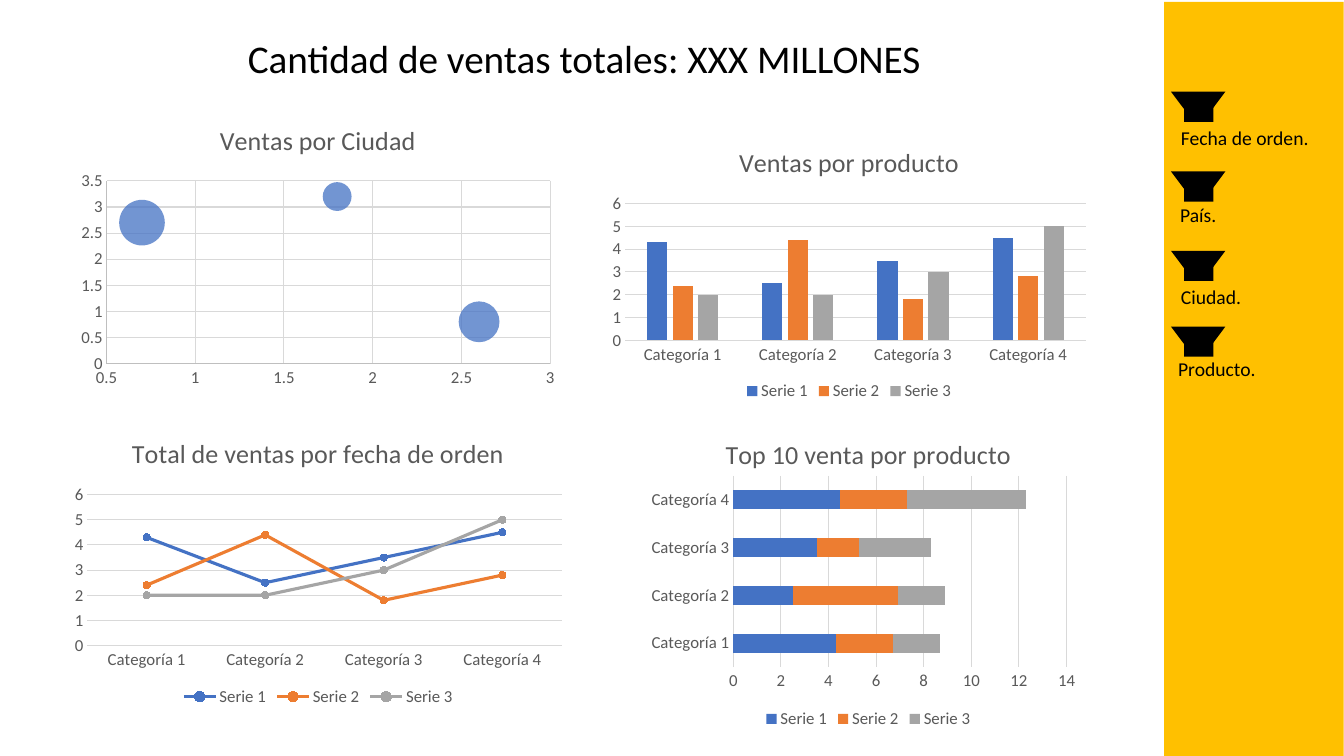
from lxml.etree import SubElement
from pptx import Presentation
from pptx.chart.data import BubbleChartData, CategoryChartData
from pptx.dml.color import RGBColor
from pptx.enum.chart import XL_CHART_TYPE as ChartType, XL_LEGEND_POSITION as LegendPosition
from pptx.enum.chart import XL_MARKER_STYLE as MarkerStyle, XL_TICK_MARK as TickMark
from pptx.enum.shapes import MSO_SHAPE as Shape
from pptx.enum.text import MSO_ANCHOR as Anchor, MSO_AUTO_SIZE as AutoSize, PP_ALIGN as Align
from pptx.oxml.ns import qn
from pptx.util import Cm, Pt

FONT = "Calibri"
BLACK = RGBColor(0x00, 0x00, 0x00)
AMBER = RGBColor(0xFF, 0xC0, 0x00)
TEXT_GRAY = RGBColor(0x59, 0x59, 0x59)
AXIS_GRAY = RGBColor(0xBF, 0xBF, 0xBF)
GRID_GRAY = RGBColor(0xD9, 0xD9, 0xD9)
BLUE = RGBColor(0x44, 0x72, 0xC4)
ORANGE = RGBColor(0xED, 0x7D, 0x31)
GRAY = RGBColor(0xA5, 0xA5, 0xA5)

HEADING = "Cantidad de ventas totales: XXX MILLONES"
HEADING_BOX = (5.99, 0.74, 19.74, 1.45)
PANEL_BOX = (29.34, 0.05, 4.52, 19.05)

# Filter name, funnel top, label left, label top
FILTERS = [
    ("Fecha de orden.", 2.31, 29.51, 3.05),
    ("País.", 4.32, 29.49, 4.98),
    ("Ciudad.", 6.32, 29.51, 7.06),
    ("Producto.", 8.23, 29.44, 8.86),
]
FUNNEL_LEFT = 29.51
LABEL_SIZE = (4.34, 0.86)

CITIES = [(0.7, 2.7, 10), (1.8, 3.2, 4), (2.6, 0.8, 8)]
CATEGORIES = ["Categoría 1", "Categoría 2", "Categoría 3", "Categoría 4"]
SERIES = [
    ("Serie 1", (4.3, 2.5, 3.5, 4.5), BLUE),
    ("Serie 2", (2.4, 4.4, 1.8, 2.8), ORANGE),
    ("Serie 3", (2, 2, 3, 5), GRAY),
]
CITY_CHART = ("Ventas por Ciudad", (1.8, 2.67, 12.42, 7.24))
PRODUCT_CHART = ("Ventas por producto", (15.19, 3.25, 12.42, 6.96))
DATE_CHART = ("Total de ventas por fecha de orden", (1.63, 10.57, 12.78, 7.34))
TOP_CHART = ("Top 10 venta por producto", (16.21, 10.57, 11.35, 7.9))
TOP_PLOT = {"x": 0.2, "y": 0.18, "w": 0.74, "h": 0.61}


def cm(box):
    """Turn a sequence of centimetres into lengths."""
    return [Cm(value) for value in box]


def style_font(font, size, color):
    """Set typeface, size, colour and regular weight."""
    font.name, font.size, font.bold = FONT, Pt(size), False
    font.color.rgb = color


def add_block(shapes, preset, box, color):
    """Add a plain filled shape without outline."""
    block = shapes.add_shape(preset, *cm(box))
    block.shadow.inherit = False
    block.fill.solid()
    block.fill.fore_color.rgb = color
    block.line.fill.background()
    return block


def add_filter(slide, name, funnel_top, label_left, label_top):
    """Add a funnel icon and its label to the panel."""
    funnel = slide.shapes.add_group_shape()
    cone = add_block(funnel.shapes, Shape.TRAPEZOID, (FUNNEL_LEFT, funnel_top, 1.37, 0.43), BLACK)
    cone.adjustments[0] = 0.75
    cone.rotation = 180
    add_block(funnel.shapes, Shape.RECTANGLE, (FUNNEL_LEFT + 0.33, funnel_top + 0.33, 0.74, 0.43), BLACK)
    label = slide.shapes.add_textbox(*cm((label_left, label_top, *LABEL_SIZE))).text_frame
    label.word_wrap = True
    label.auto_size = AutoSize.SHAPE_TO_FIT_TEXT
    label.text = name
    style_font(label.paragraphs[0].runs[0].font, 14, BLACK)


def style_axis(axis, line_color, grid):
    """Format one axis; no line colour hides the line."""
    axis.major_tick_mark = axis.minor_tick_mark = TickMark.NONE
    style_font(axis.tick_labels.font, 12, TEXT_GRAY)
    if line_color is None:
        axis.format.line.fill.background()
    else:
        axis.format.line.color.rgb = line_color
        axis.format.line.width = Pt(0.75)
    axis.has_major_gridlines = grid
    if grid:
        axis.major_gridlines.format.line.color.rgb = GRID_GRAY
        axis.major_gridlines.format.line.width = Pt(0.75)


def add_chart(slide, kind, title, box, data):
    """Add a chart with its title and base font."""
    chart = slide.shapes.add_chart(kind, *cm(box), data).chart
    style_font(chart.font, 10, BLACK)
    chart.has_title = True
    chart.chart_title.text_frame.text = title
    style_font(chart.chart_title.text_frame.paragraphs[0].runs[0].font, 18.6, TEXT_GRAY)
    return chart


def add_city_chart(slide):
    """Add the bubble chart of cities."""
    data = BubbleChartData()
    cities = data.add_series("Series 1")
    for x, y, size in CITIES:
        cities.add_data_point(x, y, size)
    chart = add_chart(slide, ChartType.BUBBLE, *CITY_CHART, data)
    chart.has_legend = False
    for axis in (chart.category_axis, chart.value_axis):
        style_axis(axis, AXIS_GRAY, True)
    bubbles = chart.plots[0].series[0]
    bubbles.format.fill.solid()
    bubbles.format.fill.fore_color.rgb = BLUE
    bubbles.format.line.fill.background()
    color = bubbles._element.find(f"{qn('c:spPr')}/{qn('a:solidFill')}/{qn('a:srgbClr')}")
    SubElement(color, qn("a:alpha"), val="75000")


def add_series_chart(slide, kind, title, box):
    """Add a chart of the three series over the categories."""
    data = CategoryChartData()
    data.categories = CATEGORIES
    for name, values, _ in SERIES:
        data.add_series(name, values)
    chart = add_chart(slide, kind, title, box, data)
    chart.plots[0].vary_by_categories = False
    style_axis(chart.category_axis, GRID_GRAY, False)
    style_axis(chart.value_axis, None, True)
    chart.has_legend = True
    chart.legend.position = LegendPosition.BOTTOM
    chart.legend.include_in_layout = False
    style_font(chart.legend.font, 12, TEXT_GRAY)
    for series, (_, _, color) in zip(chart.plots[0].series, SERIES):
        if kind == ChartType.LINE_MARKERS:
            series.smooth = False
            series.format.line.color.rgb = color
            series.format.line.width = Pt(2.25)
            series.marker.style = MarkerStyle.CIRCLE
            series.marker.size = 5
            fill = series.marker.format.fill
            series.marker.format.line.color.rgb = color
        else:
            fill = series.format.fill
        fill.solid()
        fill.fore_color.rgb = color
    return chart


def place_plot(chart, fractions):
    """Fix the inner plot area as fractions of the chart."""
    area = chart._chartSpace.chart.plotArea
    layout = area.find(qn("c:layout"))
    if layout is None:
        layout = SubElement(area, qn("c:layout"))
        area.insert(0, layout)
    manual = SubElement(layout, qn("c:manualLayout"))
    SubElement(manual, qn("c:layoutTarget"), val="inner")
    for side in ("x", "y"):
        SubElement(manual, qn(f"c:{side}Mode"), val="edge")
    for side, value in fractions.items():
        SubElement(manual, qn(f"c:{side}"), val=str(value))


deck = Presentation()
deck.slide_width, deck.slide_height = Cm(33.87), Cm(19.05)
slide = deck.slides.add_slide(deck.slide_layouts[5])

heading = slide.shapes.title
heading.left, heading.top, heading.width, heading.height = cm(HEADING_BOX)
heading.text_frame.text = HEADING
heading.text_frame.vertical_anchor = Anchor.TOP
heading.text_frame.paragraphs[0].alignment = Align.LEFT
style_font(heading.text_frame.paragraphs[0].runs[0].font, 28, BLACK)

add_block(slide.shapes, Shape.RECTANGLE, PANEL_BOX, AMBER)
for item in FILTERS:
    add_filter(slide, *item)

add_city_chart(slide)
products = add_series_chart(slide, ChartType.COLUMN_CLUSTERED, *PRODUCT_CHART)
products.plots[0].gap_width, products.plots[0].overlap = 219, -27
add_series_chart(slide, ChartType.LINE_MARKERS, *DATE_CHART)
top_products = add_series_chart(slide, ChartType.BAR_STACKED, *TOP_CHART)
top_products.plots[0].gap_width, top_products.plots[0].overlap = 150, 100
place_plot(top_products, TOP_PLOT)

deck.save("out.pptx")
